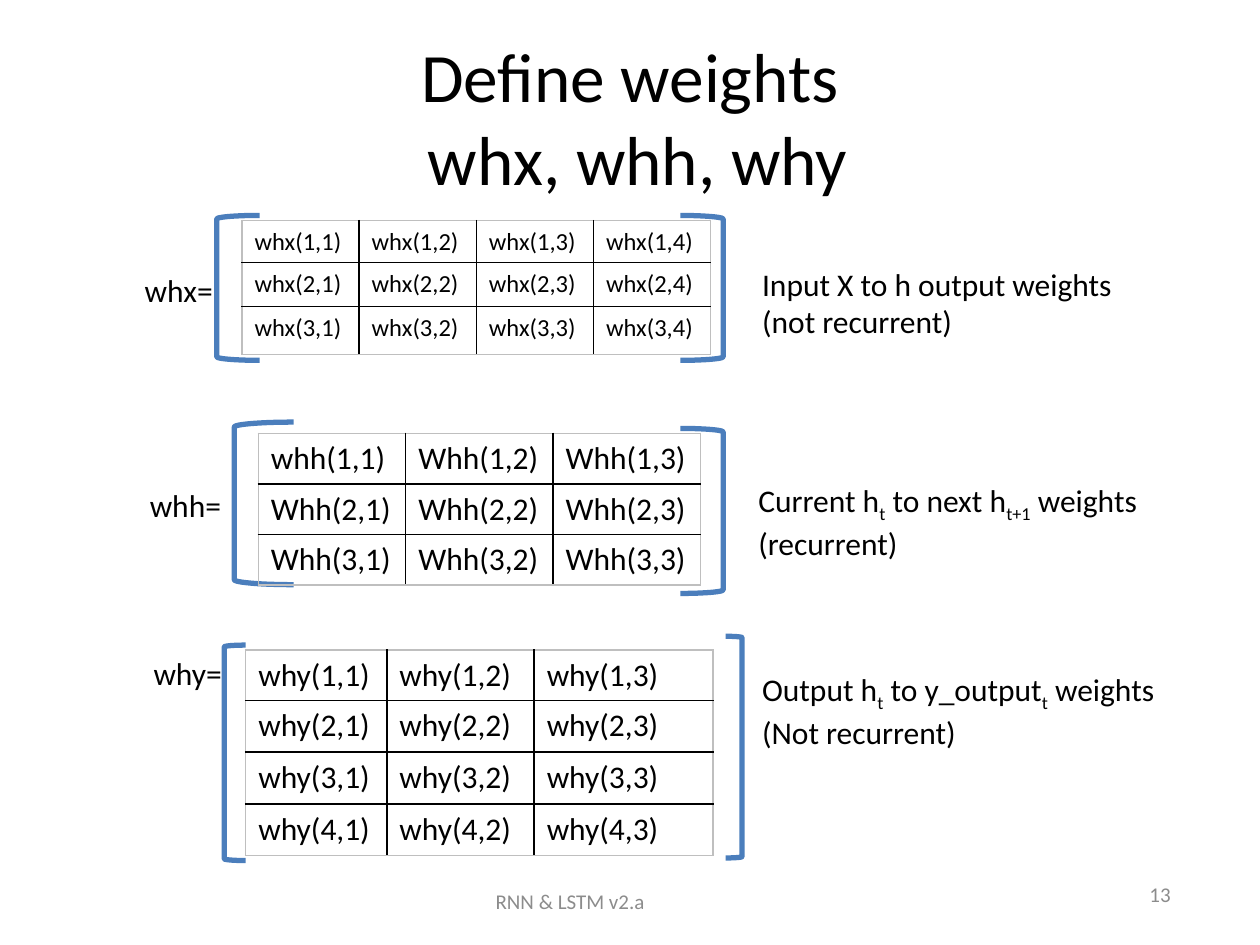
from lxml.etree import SubElement
from pptx import Presentation
from pptx.dml.color import RGBColor
from pptx.enum.shapes import MSO_SHAPE
from pptx.enum.text import MSO_ANCHOR, MSO_AUTO_SIZE, PP_ALIGN
from pptx.oxml.ns import qn
from pptx.util import Inches, Pt

BLACK, GREY, EDGE, BLUE = "000000", "8C8C8C", "BFBFBF", "4B7EBC"
TITLE = ["Define weights", " whx, whh, why"]
FOOTERS = [
    ("RNN & LSTM v2.a", (2.94, 6.95, 3.17, 0.4), PP_ALIGN.CENTER),
    ("13", (7.06, 6.9, 2.33, 0.4), PP_ALIGN.RIGHT),
]
MATRICES = [
    {
        "names": ("whx", "whx"), "size": 14, "corner": (1.92, 1.75),
        "columns": [0.93] * 4, "rows": [0.33, 0.35, 0.38],
        "label": (1.05, 2.1, 0.75, 0.4),
        "brackets": [(1.72, 1.71, 0.34, 1.15), (5.4, 1.71, 0.34, 1.15)],
        "note": (5.95, 2.05, 3.01, 0.71),
        "lines": [["Input X to h output weights"], ["(not recurrent)"]],
    },
    {
        "names": ("whh", "Whh"), "size": 18, "corner": (2.05, 3.44),
        "columns": [1.17] * 3, "rows": [0.4] * 3,
        "label": (1.09, 3.81, 0.78, 0.4),
        "brackets": [(1.86, 3.35, 0.47, 1.29), (5.4, 3.4, 0.34, 1.31)],
        "note": (5.92, 3.77, 3.28, 0.71),
        "lines": [["Current h", "t", " to next h", "t+1", " weights"], ["(recurrent)"]],
    },
    {
        "names": ("why", "why"), "size": 18, "corner": (1.95, 5.16),
        "columns": [1.12, 1.17, 1.42], "rows": [0.4, 0.41, 0.41, 0.41],
        "label": (1.12, 5.14, 0.75, 0.4),
        "brackets": [(1.78, 5.12, 0.17, 1.71), (5.76, 5.05, 0.13, 1.76)],
        "note": (5.95, 5.27, 3.39, 0.71),
        "lines": [["Output h", "t", " to y_output", "t", " weights"], ["(Not recurrent)"]],
    },
]


def color(value):
    return RGBColor.from_string(value)


def add_span(para, text, size, tone=BLACK, subscript=False):
    span = para.add_run()
    span.text = text
    span.font.name = "Calibri"
    span.font.size = Pt(size)
    span.font.color.rgb = color(tone)
    if subscript:
        span._r.get_or_add_rPr().set("baseline", "-25000")


def add_text(page, place, lines, size=18, tone=BLACK, align=PP_ALIGN.LEFT, wrap=False):
    frame = page.shapes.add_textbox(*map(Inches, place)).text_frame
    frame.word_wrap = wrap
    if wrap:
        frame.vertical_anchor = MSO_ANCHOR.MIDDLE
    else:
        frame.auto_size = MSO_AUTO_SIZE.SHAPE_TO_FIT_TEXT
    for index, spans in enumerate(lines):
        para = frame.add_paragraph() if index else frame.paragraphs[0]
        para.alignment = align
        for order, text in enumerate(spans):
            add_span(para, text, size, tone, subscript=order % 2 == 1)


def add_border(cell, side, tone):
    line = SubElement(cell._tc.get_or_add_tcPr(), qn(f"a:ln{side}"), w=str(Pt(1)))
    fill = SubElement(line, qn("a:solidFill"))
    SubElement(fill, qn("a:srgbClr"), val=tone)


def add_matrix(page, matrix):
    columns, rows = matrix["columns"], matrix["rows"]
    extent = (*matrix["corner"], sum(columns), sum(rows))
    table = page.shapes.add_table(len(rows), len(columns), *map(Inches, extent)).table
    table.first_row = table.horz_banding = False
    for column, width in zip(table.columns, columns):
        column.width = Inches(width)
    for row, height in zip(table.rows, rows):
        row.height = Inches(height)
    first, other = matrix["names"]
    for r in range(len(rows)):
        for c in range(len(columns)):
            cell = table.cell(r, c)
            name = first if r == c == 0 else other
            add_span(cell.text_frame.paragraphs[0], f"{name}({r + 1},{c + 1})", matrix["size"])
            outer = {"L": c == 0, "R": c == len(columns) - 1,
                     "T": r == 0, "B": r == len(rows) - 1}
            for side, is_outer in outer.items():
                add_border(cell, side, EDGE if is_outer else BLACK)
            cell.fill.background()


def add_bracket(page, kind, place):
    bracket = page.shapes.add_shape(kind, *map(Inches, place))
    bracket.shadow.inherit = False
    bracket.fill.background()
    bracket.line.color.rgb = color(BLUE)
    bracket.line.width = Pt(3)


def add_title(page):
    title = page.shapes.title
    title.left, title.top, title.width, title.height = map(Inches, (0.5, 0.3, 9, 1.25))
    frame = title.text_frame
    frame.auto_size = MSO_AUTO_SIZE.NONE
    frame.vertical_anchor = MSO_ANCHOR.MIDDLE
    para = frame.paragraphs[0]
    para.alignment = PP_ALIGN.CENTER
    for index, text in enumerate(TITLE):
        if index:
            para.add_line_break()
        add_span(para, text, 39.6)


def main():
    deck = Presentation()
    deck.slide_width, deck.slide_height = Inches(10), Inches(7.5)
    page = deck.slides.add_slide(deck.slide_layouts[5])
    add_title(page)
    for text, place, align in FOOTERS:
        add_text(page, place, [[text]], 12, GREY, align, wrap=True)
    for matrix in MATRICES:
        add_text(page, matrix["label"], [[matrix["names"][0] + "="]])
        kinds = (MSO_SHAPE.LEFT_BRACKET, MSO_SHAPE.RIGHT_BRACKET)
        for kind, place in zip(kinds, matrix["brackets"]):
            add_bracket(page, kind, place)
        add_matrix(page, matrix)
        add_text(page, matrix["note"], matrix["lines"])
    deck.save("out.pptx")


if __name__ == "__main__":
    main()
